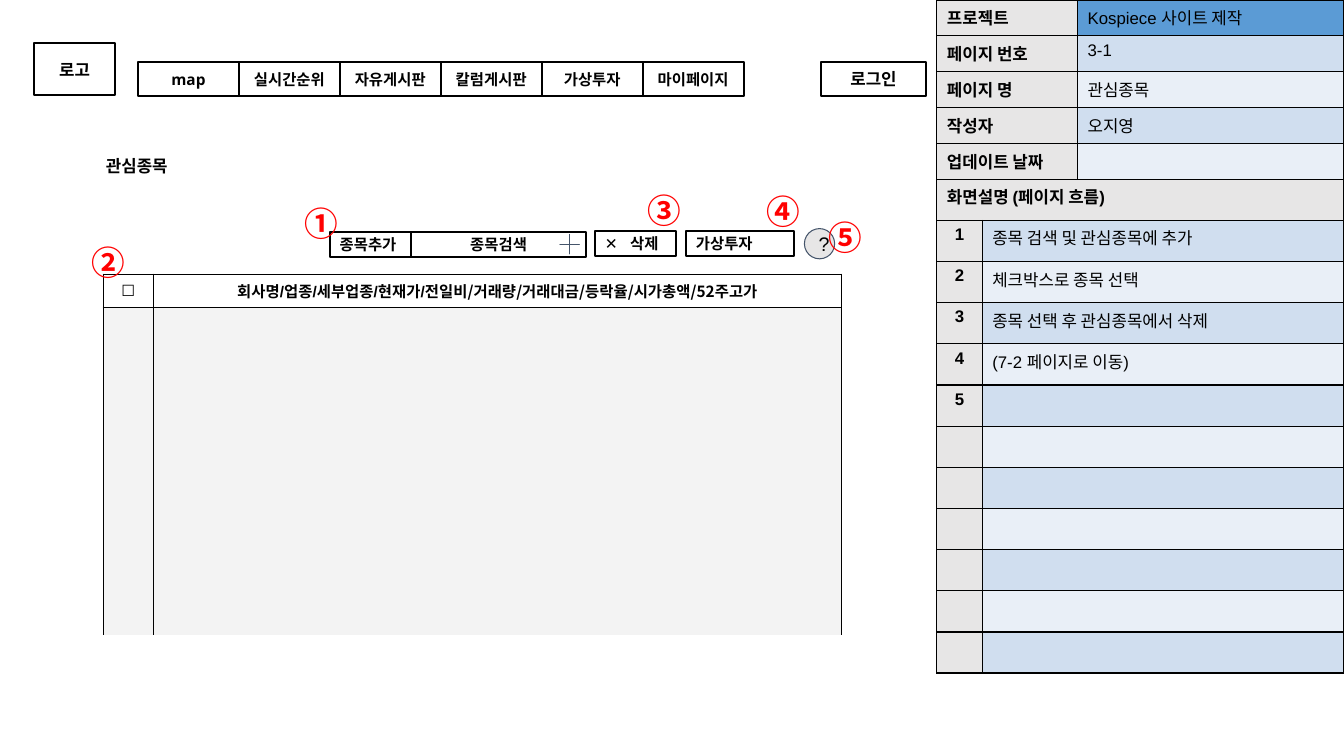
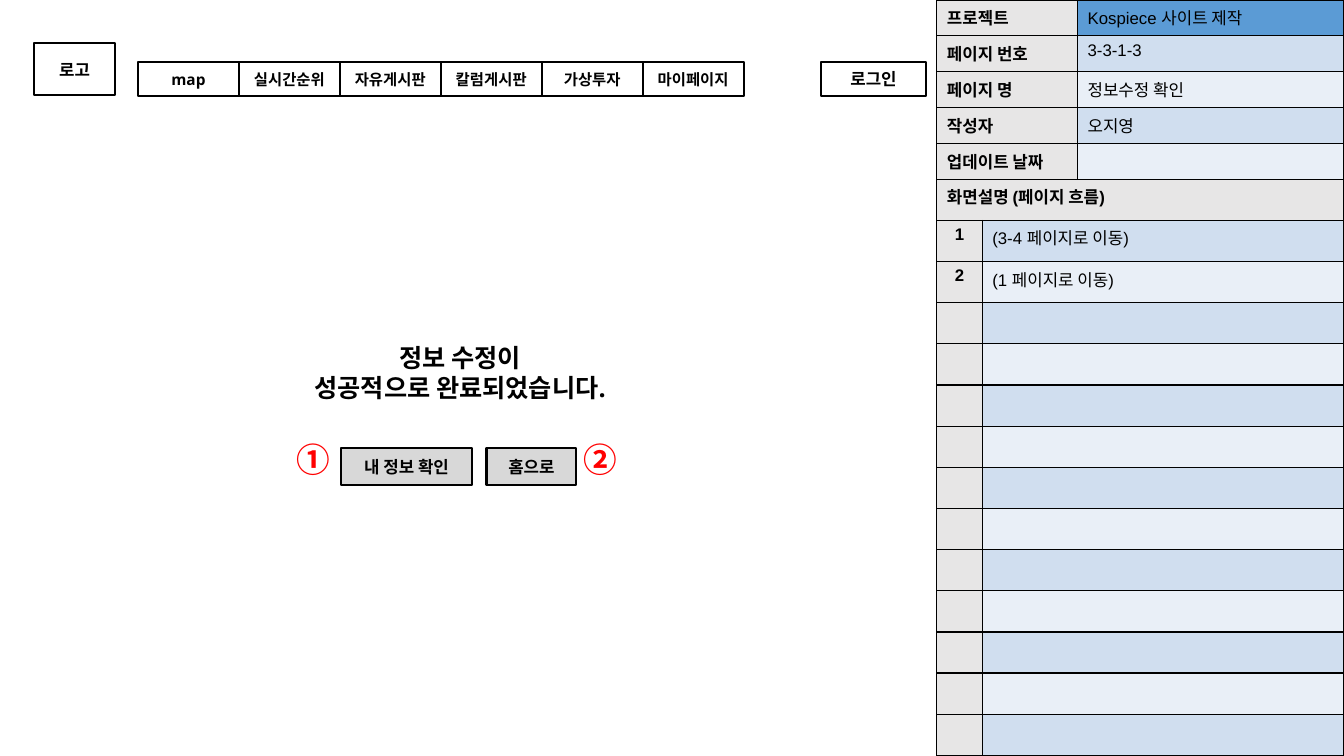
import itertools

import pptx
import pptx.dml.color
import pptx.enum.shapes
import pptx.enum.text
import pptx.oxml
import pptx.oxml.ns
import pptx.util

Pt = pptx.util.Pt
rgb = pptx.dml.color.RGBColor.from_string
SHAPE = pptx.enum.shapes.MSO_SHAPE
MIDDLE = pptx.enum.text.MSO_ANCHOR.MIDDLE
LEFT = pptx.enum.text.PP_ALIGN.LEFT
CENTER = pptx.enum.text.PP_ALIGN.CENTER

BLACK, WHITE, RED = "000000", "FFFFFF", "FF0000"
GREY, BUTTON, EMPTY, SLATE = "E7E6E6", "D8D8D8", "F3F3F3", "44546A"
PROJECT, BANDS = "5B9BD5", ("E9EFF7", "D0DEEF")
KOREAN = "Noto Sans CJK KR"
NS = pptx.oxml.ns.nsdecls("a")


def write(tf, text, size, font="Open Sans", color=BLACK, bold=True, align=LEFT):
    """Fill a text frame with one paragraph per line, all in one style."""
    tf.text = text
    tf.word_wrap = True
    for p in tf.paragraphs:
        p.alignment = align
        if "\t" in text:
            p._p.get_or_add_pPr().append(pptx.oxml.parse_xml(
                f'<a:tabLst {NS}><a:tab pos="{Pt(18)}" algn="l"/></a:tabLst>'))
        p.font.size, p.font.bold, p.font.name = Pt(size), bold, font
        p.font.color.rgb = rgb(color)
        p._p.pPr.find(pptx.oxml.ns.qn("a:defRPr")).append(
            pptx.oxml.parse_xml(f'<a:ea {NS} typeface="{KOREAN}"/>'))


def grid(s, x, y, widths, heights, rows, aligns, size=12, bold_value=False,
         anchor=None, open_bottom=False):
    """Add a two-column table; each row is (texts, fills)."""
    tbl = s.shapes.add_table(len(rows), 2, Pt(x), Pt(y), Pt(sum(widths)),
                             Pt(sum(heights))).table
    tbl.first_row = tbl.horz_banding = False
    for col, width in zip(tbl.columns, widths):
        col.width = Pt(width)
    for i, (texts, fills) in enumerate(rows):
        tbl.rows[i].height = Pt(heights[i])
        for j in range(2):
            cell = tbl.cell(i, j)
            for side in "LRTB":
                hidden = open_bottom and side == "B" and i == len(rows) - 1
                paint = "<a:noFill/>" if hidden else (
                    f'<a:solidFill><a:srgbClr val="{BLACK}"/></a:solidFill>')
                cell._tc.get_or_add_tcPr().append(pptx.oxml.parse_xml(
                    f'<a:ln{side} {NS} w="12700">{paint}</a:ln{side}>'))
            cell.fill.solid()
            cell.fill.fore_color.rgb = rgb(fills[j])
            cell.vertical_anchor = anchor
            write(cell.text_frame, texts[j], size, "Arial",
                  bold=j == 0 or bold_value, align=aligns[j])
    return tbl


# Page header: left, top, width, height, text, size, alignment, fill
NAV = ["map", "실시간순위", "자유게시판", "칼럼게시판", "가상투자", "마이페이지"]
HEADER = [(24, 31, 58.5, 37.2, "로고", 12, CENTER, None),
          (586.5, 44.5, 75, 23.8, "로그인", 12, CENTER, None)]
HEADER += [(98.6 + 72.1 * i, 44.5, 72.1, 23.8, name, 11, CENTER, None)
           for i, name in enumerate(NAV)]

PAGES = [
    dict(number="3-1", name="관심종목", rows=11,
         flow=["종목 검색 및 관심종목에 추가", "체크박스로 종목 선택",
               "종목 선택 후 관심종목에서 삭제", "(7-2 페이지로 이동)", ""],
         boxes=[(425, 165, 58, 18, "✕\t삭제", 11, LEFT, None),
                (235.5, 165.6, 64.5, 18, "종목추가", 11, LEFT, None),
                (293.7, 165.6, 125, 18, "종목검색", 11, CENTER, WHITE),
                (490, 165, 77.3, 18, "가상투자", 11, LEFT, None)],
         title=(68.6, 105, 134.6, 26.6, "관심종목", 12, LEFT),
         marks=[("①", 210.5, 141.5), ("②", 58.4, 169.5), ("③", 455.6, 132.3),
                ("④", 540.3, 132.8), ("⑤", 584.8, 151.5)]),
    dict(number="3-3-1-3", name="정보수정 확인", rows=13,
         flow=["(3-4 페이지로 이동)", "(1 페이지로 이동)"],
         boxes=[(243.3, 320, 94.2, 26.5, "내 정보 확인", 12, CENTER, BUTTON),
                (347.5, 320, 64.3, 26.5, "홈으로", 12, CENTER, BUTTON)],
         title=(168.5, 252.5, 320.4, 26.6,
                "정보 수정이\n성공적으로 완료되었습니다.", 18, CENTER),
         marks=[("①", 205, 309.8), ("②", 409.8, 309.8)]),
]

prs = pptx.Presentation()
prs.slide_width, prs.slide_height = Pt(960), Pt(540)

for page in PAGES:
    s = prs.slides.add_slide(prs.slide_layouts[6])

    # Project details
    details = [("프로젝트", "Kospiece 사이트 제작"), ("페이지 번호", page["number"]),
               ("페이지 명", page["name"]), ("작성자", "오지영"), ("업데이트 날짜", "")]
    rows = [(texts, (GREY, BANDS[i % 2] if i else PROJECT))
            for i, texts in enumerate(details)]
    grid(s, 669.2, 0, [100.5, 190], [25.65] * 5, rows, (LEFT, LEFT))

    # Page flow
    rows = [(("화면설명 (페이지 흐름)", ""), (GREY, GREY))]
    for i in range(1, page["rows"] + 1):
        used = i <= len(page["flow"])
        texts = (str(i), page["flow"][i - 1]) if used else ("", "")
        rows.append((texts, (GREY, BANDS[i % 2])))
    tbl = grid(s, 669.2, 128, [32.4, 258.1], [29.4] * len(rows), rows,
               (CENTER, LEFT))
    tbl.cell(0, 0).merge(tbl.cell(0, 1))
    tbl.cell(0, 0).text_frame.paragraphs[0].alignment = LEFT

    # Title
    x, y, w, h, text, size, align = page["title"]
    tf = s.shapes.add_textbox(Pt(x), Pt(y), Pt(w), Pt(h)).text_frame
    tf.vertical_anchor = MIDDLE
    write(tf, text, size, align=align)

    # Header and page buttons
    for x, y, w, h, text, size, align, fill in HEADER + page["boxes"]:
        sp = s.shapes.add_shape(SHAPE.RECTANGLE, Pt(x), Pt(y), Pt(w), Pt(h))
        sp.shadow.inherit = False
        if fill:
            sp.fill.solid()
            sp.fill.fore_color.rgb = rgb(fill)
        else:
            sp.fill.background()
        sp.line.color.rgb, sp.line.width = rgb(BLACK), Pt(1.5)
        tf = sp.text_frame
        tf.margin_top = tf.margin_bottom = Pt(7.2)
        tf.vertical_anchor = MIDDLE
        write(tf, text, size, align=align)

    if page is PAGES[0]:
        # Watch list
        rows = [(("☐", ""), (WHITE, WHITE)), (("", ""), (EMPTY, EMPTY))]
        tbl = grid(s, 73.8, 195.9, [35.6, 491.7], [23.6, 234.4], rows,
                   (CENTER, CENTER), 11, True, MIDDLE, True)
        p = tbl.cell(0, 1).text_frame.paragraphs[0]
        headings = ["회사명", "/업종/세부업종/", "현재가", "/",
                    "전일비/거래량/거래대금/등락율/시가총액/52", "주고가"]
        for text, font in zip(headings, itertools.cycle([KOREAN, "Arial"])):
            r = p.add_run()
            r.text, r.font.name = text, font

        # Search plus and help icon
        for kind, x, y, d, text in [(SHAPE.MATH_PLUS, 397.5, 165, 18.9, ""),
                                    (SHAPE.OVAL, 574.6, 163.3, 21.6, "?")]:
            sp = s.shapes.add_shape(kind, Pt(x), Pt(y), Pt(d), Pt(d))
            sp.shadow.inherit = False
            sp.fill.solid()
            sp.fill.fore_color.rgb = rgb(GREY)
            sp.line.color.rgb, sp.line.width = rgb(SLATE), Pt(0.75)
            if text:
                write(sp.text_frame, text, 14, "Arial", bold=False, align=CENTER)
            else:
                sp.adjustments[0] = 0

    # Step marks
    for text, x, y in page["marks"]:
        tf = s.shapes.add_textbox(Pt(x), Pt(y), Pt(35), Pt(36)).text_frame
        write(tf, text, 24, KOREAN, RED)

prs.save("out.pptx")
